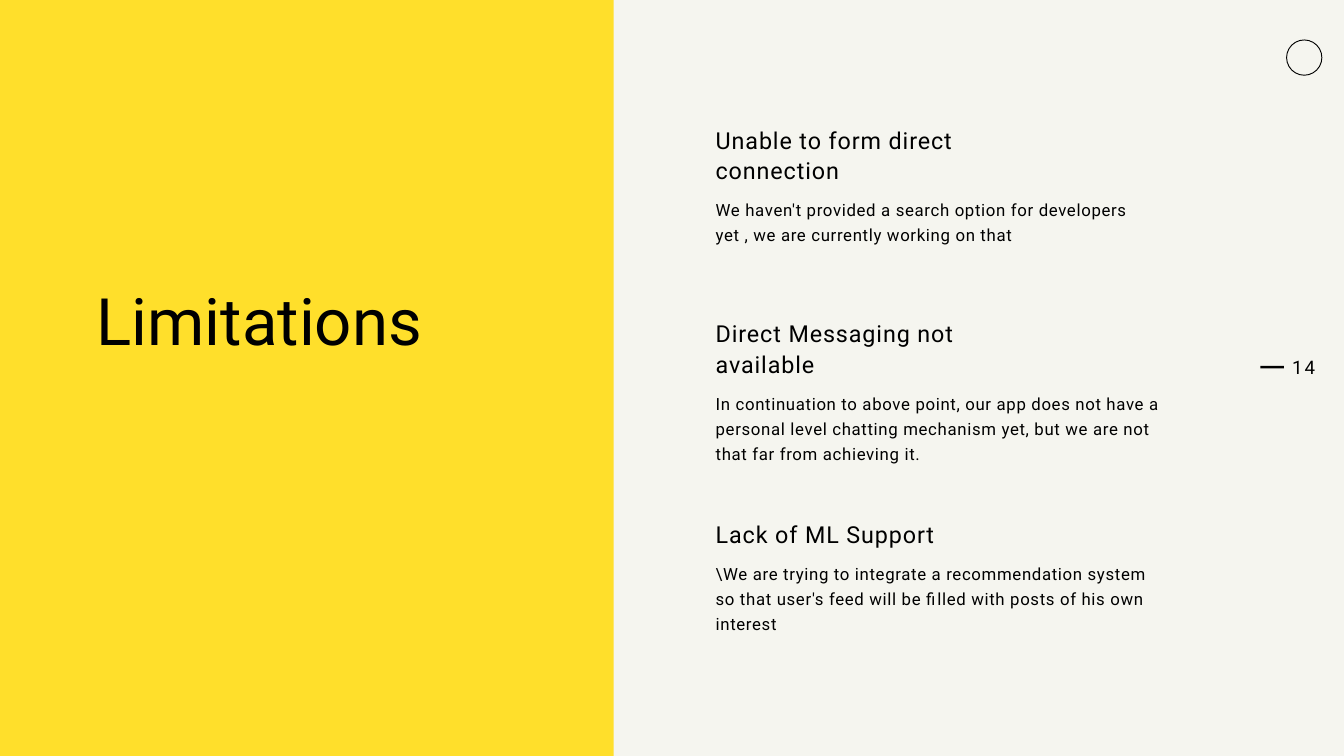
from pptx import Presentation
from pptx.dml.color import RGBColor
from pptx.enum import shapes, text
from pptx.util import Pt

YELLOW = RGBColor(0xFF, 0xDF, 0x2B)
CREAM = RGBColor(0xF5, 0xF5, 0xEF)
BLACK = RGBColor(0, 0, 0)
FONT = "Roboto"
HEADING_LEADING = 32.5
BODY_LEADING = 27

LIMITATIONS = [
    (132.5, "Unable to form direct connection", 2,
     "We haven't provided a search option for developers yet , "
     "we are currently working on that", 2),
    (339.8, "Direct Messaging not available", 2,
     "In continuation to above point, our app does not have a personal level "
     "chatting mechanism yet, but we are not that far from achieving it.", 3),
    (554.4, "Lack of ML Support", 1,
     r"\We are trying to integrate a recommendation system so that user's feed "
     "will be filled with posts of his own interest", 3),
]


def add_text(page, box, wording, size, leading, tracking=0,
             align=text.PP_ALIGN.LEFT):
    frame = page.shapes.add_textbox(*map(Pt, box)).text_frame
    frame.margin_left = frame.margin_right = 0
    frame.margin_top = frame.margin_bottom = 0
    frame.word_wrap = True
    para = frame.paragraphs[0]
    para.alignment = align
    para.line_spacing = Pt(leading)
    span = para.add_run()
    span.text = wording
    span._r.get_or_add_rPr().set("spc", str(round(tracking * 100)))
    para.font.name = FONT
    para.font.size = Pt(size)
    para.font.color.rgb = BLACK


def add_block(page, box, color):
    block = page.shapes.add_shape(shapes.MSO_SHAPE.RECTANGLE, *map(Pt, box))
    block.shadow.inherit = False
    block.fill.solid()
    block.fill.fore_color.rgb = color
    block.line.fill.background()


def add_ring(page, box):
    ring = page.shapes.add_shape(shapes.MSO_SHAPE.OVAL, *map(Pt, box))
    ring.shadow.inherit = False
    ring.fill.background()
    ring.line.color.rgb = BLACK
    ring.line.width = Pt(1)


def add_page_number(page, box, number):
    left, top, width, height = box
    dash_width, dash_height = 25.2, 2.9
    dash_top = top + (height - dash_height) / 2
    add_block(page, (left, dash_top, dash_width, dash_height), BLACK)
    number_left = left + 22.6
    add_text(page, (number_left, top, left + width - number_left, height),
             number, 20, 24, 2, text.PP_ALIGN.RIGHT)


def add_limitation(page, box, heading, heading_lines, body, body_lines):
    left, top, width = box
    heading_height = heading_lines * HEADING_LEADING - 1.6
    body_top = top + heading_height + 12.8
    add_text(page, (left, top, 309.6, heading_height),
             heading, 25, HEADING_LEADING, 1)
    add_text(page, (left, body_top, width, body_lines * BODY_LEADING - 2.2),
             body, 18, BODY_LEADING, 0.7)


def main():
    deck = Presentation()
    deck.slide_width, deck.slide_height = Pt(1440), Pt(810)
    page = deck.slides.add_slide(deck.slide_layouts[6])
    page.background.fill.solid()
    page.background.fill.fore_color.rgb = YELLOW

    add_block(page, (657.5, -12, 790, 836.5), CREAM)
    add_ring(page, (1378.5, 42.8, 37.8, 37.8))
    add_page_number(page, (1350.4, 381, 58.6, 24.8), "14")
    add_text(page, (103.7, 306.7, 407.5, 79.2), "Limitations", 70, 77)
    for top, *wording in LIMITATIONS:
        add_limitation(page, (766.8, top, 480.2), *wording)

    deck.save("out.pptx")


if __name__ == "__main__":
    main()
